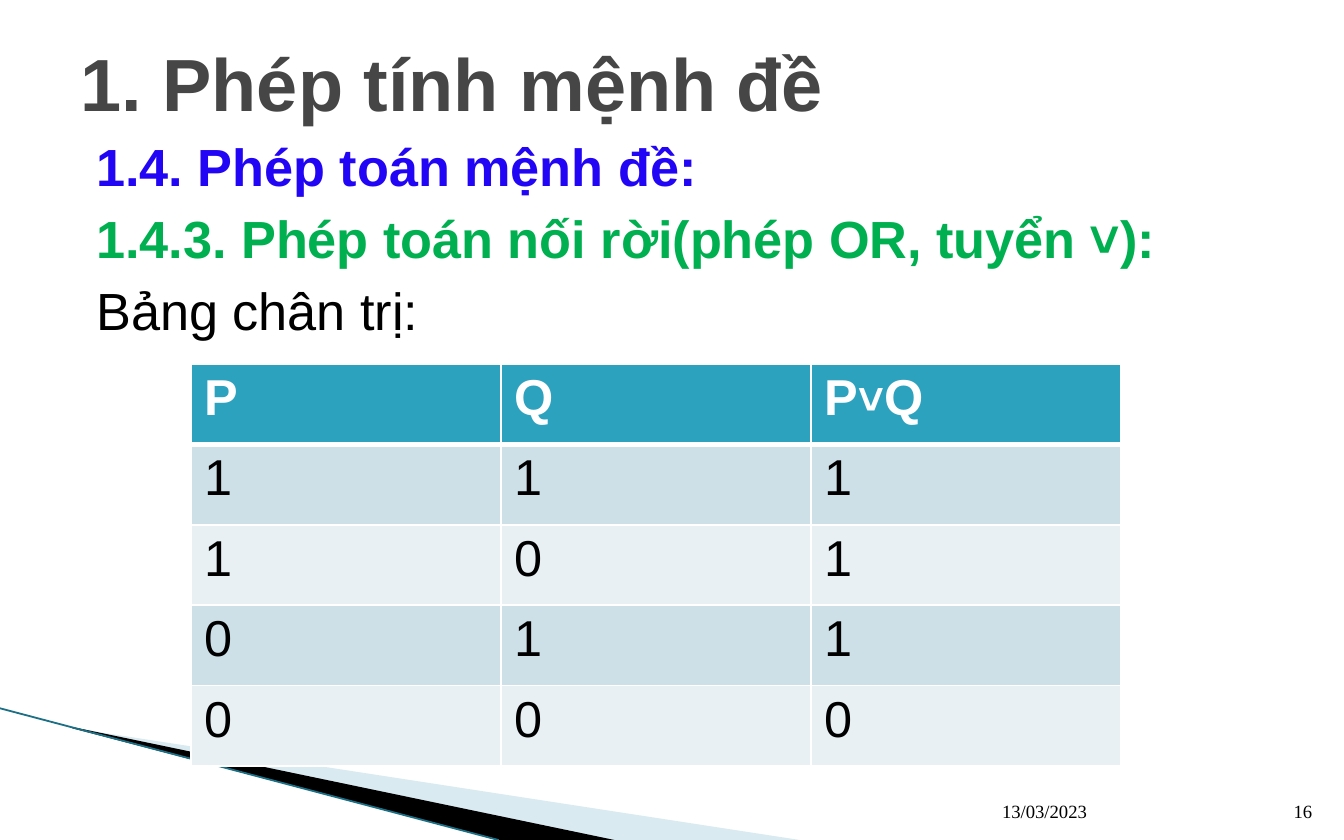
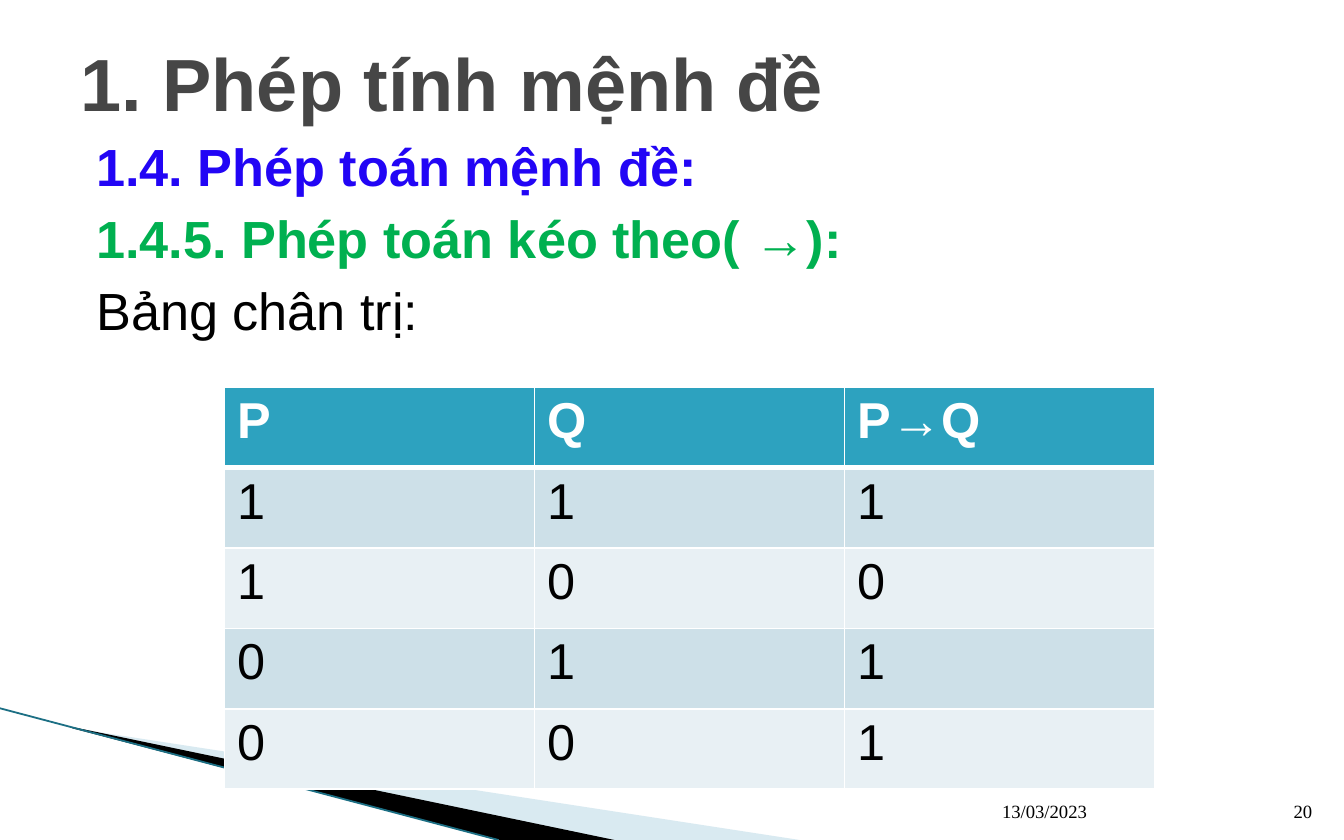
from lxml.etree import SubElement
from pptx import Presentation
from pptx.dml.color import RGBColor
from pptx.enum.text import MSO_ANCHOR as Anchor, MSO_AUTO_SIZE as AutoSize, PP_ALIGN as Align
from pptx.oxml.ns import qn
from pptx.util import Cm, Pt

# Shared style
BODY_FONT, FOOTER_FONT = "Arial", "Times New Roman"
TITLE_GREY, HEADING_BLUE, SECTION_GREEN = "464646", "2205F5", "00B050"
BLACK, WHITE = "000000", "FFFFFF"
HEADER_FILL, BANDS = "2DA2BF", ("CDE0E8", "E8F0F4")
PALE_WEDGE, EDGE_TEAL = "A0CBDC", "1C6F84"
ROW_HEIGHT, COLUMN_WIDTH = 1.52, 5.86


def rgb(value):
    return RGBColor.from_string(value)


def write(paragraph, content, size=28, color=BLACK, bold=False, font=BODY_FONT,
          align=Align.LEFT, before=0, indent=0):
    """Fill a paragraph; content is a string or a list of (string, size)."""
    paragraph.alignment = align
    paragraph.space_before = Pt(before)
    if indent:
        properties = paragraph._p.get_or_add_pPr()
        properties.set("marL", str(Cm(indent)))
        properties.set("indent", "0")
    pieces = [(content, size)] if isinstance(content, str) else content
    for piece, piece_size in pieces:
        run = paragraph.add_run()
        run.text = piece
        run.font.name = font
        run.font.size = Pt(piece_size)
        run.font.bold = bold
        run.font.color.rgb = rgb(color)


class Deck:
    def __init__(self):
        self.presentation = Presentation()
        self.presentation.slide_width = Cm(25.4)
        self.presentation.slide_height = Cm(15.88)
        self.slide = None

    def new_slide(self):
        title_only = self.presentation.slide_layouts[5]
        self.slide = self.presentation.slides.add_slide(title_only)

    def title(self, content):
        heading = self.slide.shapes.title
        heading.left, heading.top = Cm(1.27), Cm(0.64)
        heading.width, heading.height = Cm(22.86), Cm(1.83)
        frame = heading.text_frame
        frame.auto_size = AutoSize.NONE
        frame.vertical_anchor = Anchor.MIDDLE
        write(frame.paragraphs[0], content, size=39.6, color=TITLE_GREY, bold=True)

    def text_frame(self, left, top, width, height, anchor=Anchor.TOP):
        box = self.slide.shapes.add_textbox(Cm(left), Cm(top), Cm(width), Cm(height))
        box.text_frame.word_wrap = True
        box.text_frame.vertical_anchor = anchor
        return box.text_frame

    def wedge(self, points, color, opacity=100):
        corners = [(Cm(x), Cm(y)) for x, y in points]
        builder = self.slide.shapes.build_freeform(*corners[0])
        builder.add_line_segments(corners[1:], close=True)
        shape = builder.convert_to_shape()
        shape.shadow.inherit = False
        shape.line.fill.background()
        shape.fill.solid()
        shape.fill.fore_color.rgb = rgb(color)
        if opacity < 100:
            tint = shape._element.spPr.find(qn("a:solidFill"))[0]
            SubElement(tint, qn("a:alpha"), val=str(opacity * 1000))

    def line(self, start, end, color, width):
        connector = self.slide.shapes.add_connector(
            1, *(Cm(value) for value in start + end))
        connector.line.color.rgb = rgb(color)
        connector.line.width = Pt(width)
        SubElement(connector._element.spPr, qn("a:effectLst"))

    def corner_band(self):
        self.wedge([(1.4, 13.77), (15.11, 15.88), (11.58, 15.88)], PALE_WEDGE, opacity=40)
        self.wedge([(1.35, 13.74), (11.61, 15.88), (9.45, 15.88), (1.37, 13.77)], BLACK)
        self.line((0, 13.39), (9.42, 15.88), EDGE_TEAL, 0.95)

    def outline(self, section):
        frame = self.text_frame(1.27, 2.29, 22.86, 11.61)
        frame.margin_top = Cm(0.24)
        write(frame.paragraphs[0], "1.4. Phép toán mệnh đề:",
              color=HEADING_BLUE, bold=True, indent=0.3)
        write(frame.add_paragraph(), section,
              color=SECTION_GREEN, bold=True, before=5, indent=0.3)
        write(frame.add_paragraph(), "Bảng chân trị:", before=5, indent=0.3)

    def borders(self, cell, top, bottom):
        properties = cell._tc.get_or_add_tcPr()
        for side, width in (("L", 1), ("R", 1), ("T", top), ("B", bottom)):
            border = SubElement(properties, qn(f"a:ln{side}"), w=str(Pt(width)))
            fill = SubElement(border, qn("a:solidFill"))
            SubElement(fill, qn("a:srgbClr"), val=WHITE)

    def truth_table(self, left, top, header, values):
        rows = [header] + [list(row) for row in values]
        table = self.slide.shapes.add_table(
            len(rows), len(header), Cm(left), Cm(top),
            Cm(COLUMN_WIDTH * len(header)), Cm(ROW_HEIGHT * len(rows))).table
        table.horz_banding = False
        for column in table.columns:
            column.width = Cm(COLUMN_WIDTH)
        for r, row in enumerate(rows):
            table.rows[r].height = Cm(ROW_HEIGHT)
            is_header = r == 0
            for c, content in enumerate(row):
                cell = table.cell(r, c)
                cell.margin_left = cell.margin_right = Cm(0.25)
                cell.margin_top = cell.margin_bottom = Cm(0.11)
                self.borders(cell, 3 if r == 1 else 1, 3 if is_header else 1)
                cell.fill.solid()
                cell.fill.fore_color.rgb = rgb(HEADER_FILL if is_header else BANDS[(r - 1) % 2])
                write(cell.text_frame.paragraphs[0], content, size=27, bold=is_header,
                      color=WHITE if is_header else BLACK)

    def footer(self, number):
        date = self.text_frame(18.69, 14.83, 5.33, 0.84, Anchor.BOTTOM)
        write(date.paragraphs[0], "13/03/2023", size=10, font=FOOTER_FONT)
        page = self.text_frame(24.03, 14.83, 1.02, 0.84, Anchor.BOTTOM)
        page.margin_left = 0
        write(page.paragraphs[0], number, size=10, font=FOOTER_FONT, align=Align.RIGHT)

    def operation_slide(self, section, operation, values, left, top, number):
        self.new_slide()
        self.corner_band()
        self.outline(section)
        self.title("1. Phép tính mệnh đề")
        self.truth_table(left, top, ["P", "Q", operation], values)
        self.footer(number)


def main():
    deck = Deck()

    # Disjunction
    deck.operation_slide("1.4.3. Phép toán nối rời(phép OR, tuyển ˅):",
                         [("P", 27), ("˅", 24), ("Q", 27)],
                         ["111", "101", "011", "000"], 3.61, 6.88, "16")

    # Implication
    deck.operation_slide("1.4.5. Phép toán kéo theo( →):", "P→Q",
                         ["111", "100", "011", "001"], 4.24, 7.32, "20")

    deck.presentation.save("out.pptx")


if __name__ == "__main__":
    main()
